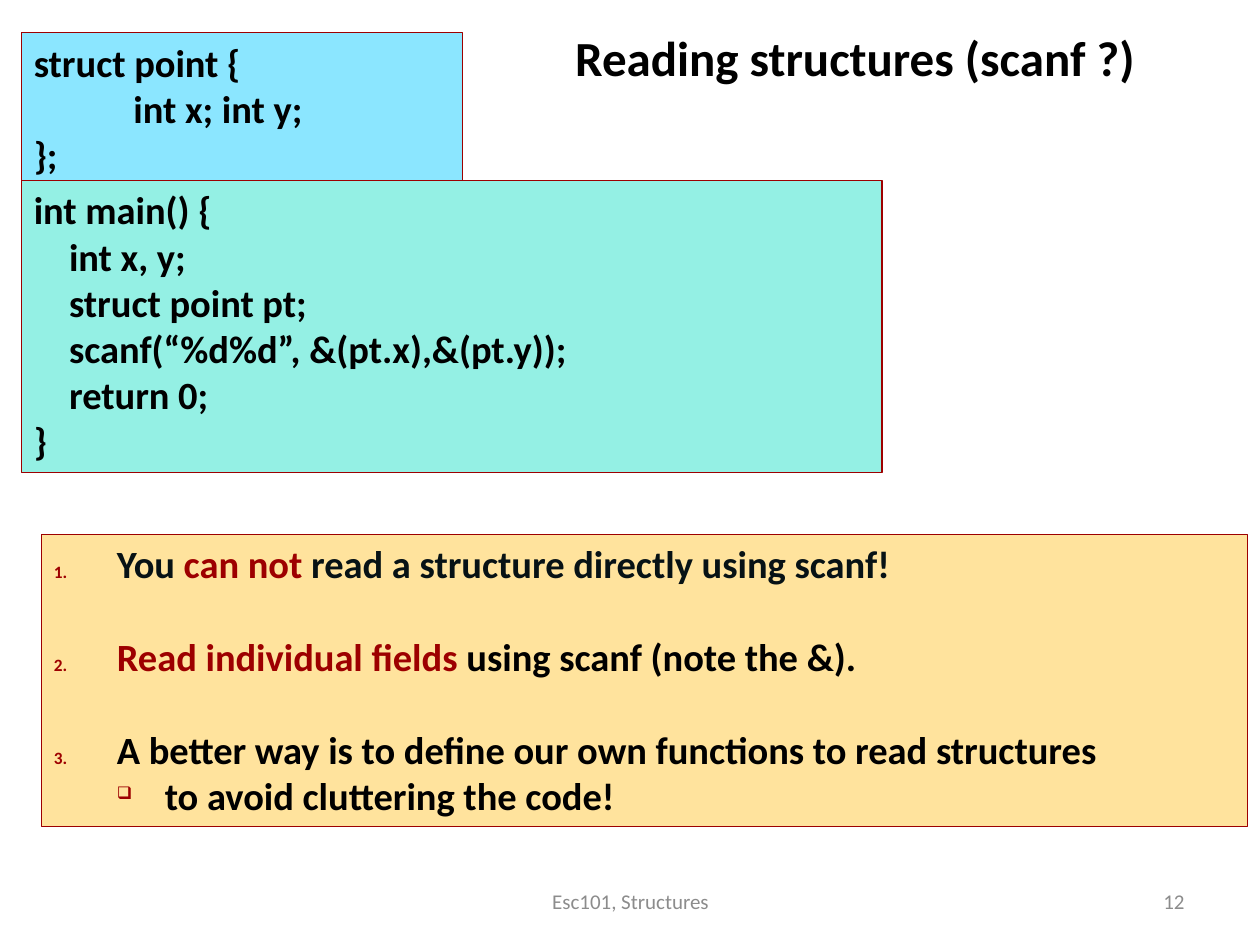
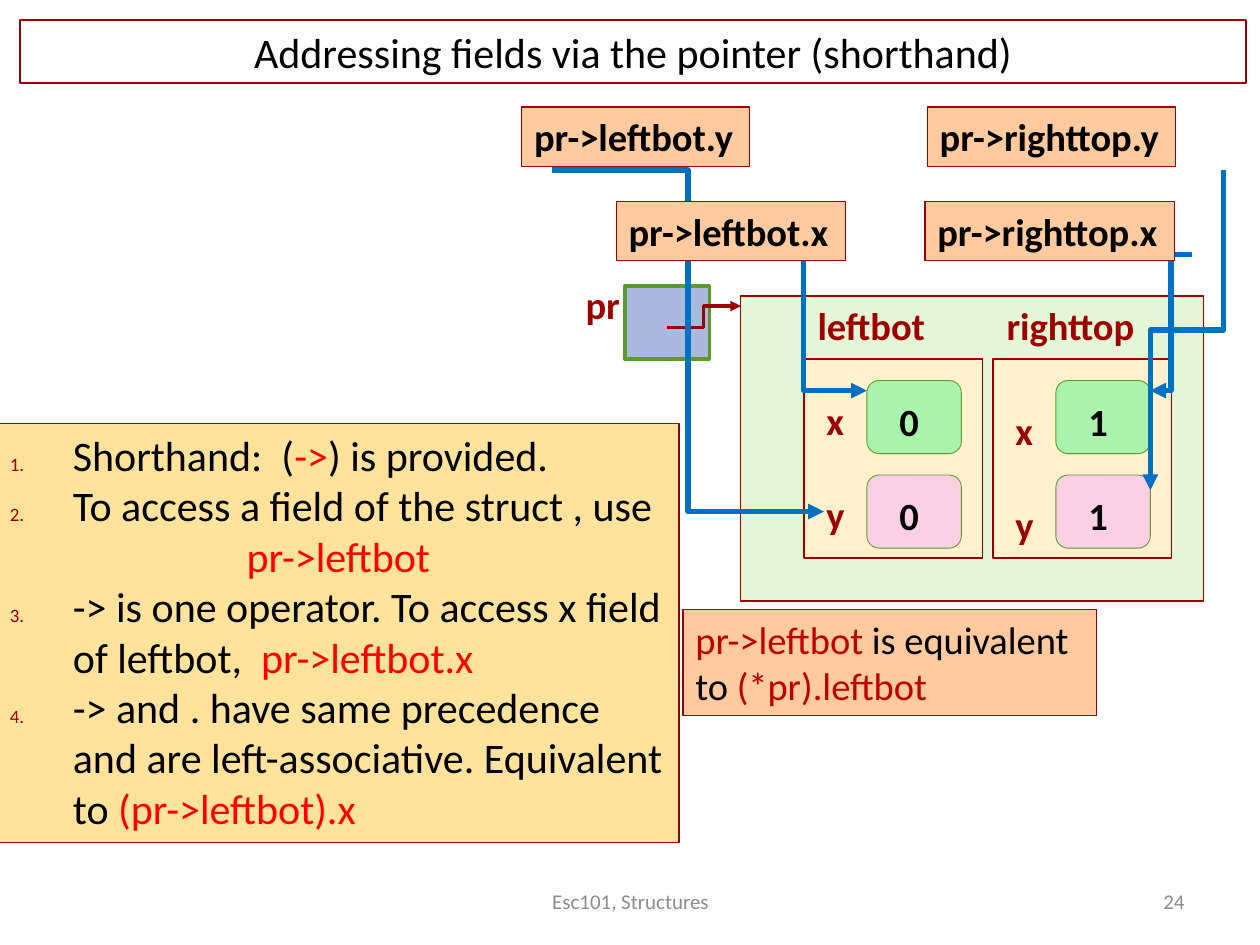
from dataclasses import dataclass

from lxml.etree import SubElement
from pptx import Presentation
from pptx.dml.color import RGBColor
from pptx.enum.shapes import MSO_CONNECTOR as Connector, MSO_SHAPE as Shape
from pptx.enum.text import MSO_ANCHOR as Anchor, MSO_AUTO_SIZE as AutoSize, PP_ALIGN as Align
from pptx.oxml.ns import qn
from pptx.util import Inches, Pt


@dataclass(frozen=True)
class Theme:
    font: str = "Calibri"
    black: str = "000000"
    ink: str = "071215"
    maroon: str = "9D0000"
    red: str = "FF0000"
    crimson: str = "C00000"
    gray: str = "8C8C8C"
    blue: str = "0070C0"
    green: str = "5D9A2B"
    sky: str = "8BE6FF"
    aqua: str = "94F0E4"
    sand: str = "FFE39D"
    peach: str = "FFCA9F"
    pale_green: str = "E5F6D8"
    cream: str = "FFF1CE"
    mint: str = "ABF3AD"
    pink: str = "FBD0E4"
    periwinkle: str = "ABB9DE"
    heading: int = 28
    large: int = 24
    body: int = 22
    small: int = 12


THEME = Theme()


def rgb(color):
    return RGBColor.from_string(color)


def set_line(line, color, width):
    line.color.rgb = rgb(color)
    line.width = Pt(width)


def set_bullet(paragraph, kind, **attributes):
    properties = paragraph._p.get_or_add_pPr()
    color = SubElement(properties, qn("a:buClr"))
    SubElement(color, qn("a:srgbClr"), val=THEME.maroon)
    SubElement(properties, qn("a:buSzPct"), val="45000")
    SubElement(properties, qn(kind), **attributes)


def set_number(paragraph, start=1):
    attributes = {"startAt": str(start)} if start > 1 else {}
    set_bullet(paragraph, "a:buAutoNum", type="arabicPeriod", **attributes)


def set_indent(paragraph, left, first=0):
    properties = paragraph._p.get_or_add_pPr()
    properties.set("marL", str(Inches(left)))
    properties.set("indent", str(Inches(first)))


def write(paragraph, content, size, color=THEME.black, bold=False, align=Align.LEFT):
    runs = [(content, color)] if isinstance(content, str) else content
    paragraph.alignment = align
    font = paragraph.font
    font.name, font.size, font.bold = THEME.font, Pt(size), bold
    colors = {run_color for _, run_color in runs}
    if len(colors) == 1:
        font.color.rgb = rgb(colors.pop())
    for text, run_color in runs:
        run = paragraph.add_run()
        run.text = text
        if len(runs) > 1:
            run.font.color.rgb = rgb(run_color)


def set_frame(shape, wrap=True, anchor=Anchor.TOP, auto_size=AutoSize.NONE):
    frame = shape.text_frame
    frame.word_wrap = wrap
    frame.auto_size = auto_size
    frame.vertical_anchor = anchor
    frame.margin_left = frame.margin_right = Inches(0.1)
    frame.margin_top = frame.margin_bottom = Inches(0.05)
    return frame


def add_paragraphs(frame, count):
    for _ in range(count - 1):
        frame.add_paragraph()
    return frame.paragraphs


def add_box(shapes, box, fill, line=THEME.maroon, width=0.75, kind=Shape.RECTANGLE):
    shape = shapes.add_shape(kind, *map(Inches, box))
    shape.shadow.inherit = False
    shape.fill.solid()
    shape.fill.fore_color.rgb = rgb(fill)
    set_line(shape.line, line, width)
    return shape


def add_label(shapes, box, text, color=THEME.maroon):
    frame = set_frame(shapes.add_textbox(*map(Inches, box)), False,
                      auto_size=AutoSize.SHAPE_TO_FIT_TEXT)
    write(frame.paragraphs[0], text, THEME.body, color, True)


def add_tag(shapes, box, text):
    frame = set_frame(add_box(shapes, box, THEME.peach), False)
    write(frame.paragraphs[0], text, THEME.body, bold=True)


def add_code(shapes, box, fill, lines):
    frame = set_frame(add_box(shapes, box, fill))
    for paragraph, (indent, text) in zip(add_paragraphs(frame, len(lines)), lines):
        set_indent(paragraph, indent)
        write(paragraph, text, THEME.body, bold=True)


def add_arrow(shapes, start, end, color=THEME.blue, width=3, downward=False):
    (x1, y1), (x2, y2) = start, end
    if downward:
        center_x, center_y = (x1 + x2) / 2, (y1 + y2) / 2
        half_length, half_drop = (y2 - y1) / 2, (x1 - x2) / 2
        x1, x2 = center_x - half_length, center_x + half_length
        y1, y2 = center_y - half_drop, center_y + half_drop
    arrow = shapes.add_connector(Connector.ELBOW, *map(Inches, (x1, y1, x2, y2)))
    if downward:
        arrow.rotation = 90
    set_line(arrow.line, color, width)
    properties = arrow._element.spPr
    SubElement(properties.find(qn("a:ln")), qn("a:tailEnd"), type="triangle")
    SubElement(properties, qn("a:effectLst"))


def add_footer(slide, number):
    for left, width, text, align in ((3.42, 3.17, "Esc101, Structures", Align.CENTER),
                                     (7.17, 2.33, str(number), Align.RIGHT)):
        box = slide.shapes.add_textbox(*map(Inches, (left, 6.95, width, 0.4)))
        frame = set_frame(box, anchor=Anchor.MIDDLE)
        write(frame.paragraphs[0], text, THEME.small, THEME.gray, align=align)


def add_slide(presentation, title, box, size, number, bold=False):
    slide = presentation.slides.add_slide(presentation.slide_layouts[5])
    shape = slide.shapes.title
    shape.left, shape.top, shape.width, shape.height = map(Inches, box)
    frame = set_frame(shape)
    write(frame.paragraphs[0], title, size, bold=bold, align=Align.CENTER)
    add_footer(slide, number)
    return slide


def add_scanf_notes(shapes):
    frame = set_frame(add_box(shapes, (0.33, 4.24, 9.57, 2.32), THEME.sand))
    notes = (
        [("You", THEME.ink), (" can not ", THEME.maroon),
         ("read a structure directly using scanf!", THEME.ink)],
        [("Read individual fields", THEME.maroon),
         (" using scanf (note the &).", THEME.black)],
        "A better way is to define our own functions to read structures",
    )
    *numbered, detail = add_paragraphs(frame, len(notes) + 1)
    for paragraph, note in zip(numbered, notes):
        set_indent(paragraph, 0.5, -0.5)
        if paragraph is not numbered[-1]:
            paragraph.space_after = Pt(26.6)
        set_number(paragraph)
        write(paragraph, note, THEME.body, bold=True)
    detail.level = 1
    set_indent(detail, 0.88, -0.38)
    set_bullet(detail, "a:buChar", char="❑")
    write(detail, "to avoid cluttering the code!", THEME.body, bold=True)


def add_shorthand_notes(shapes):
    frame = set_frame(add_box(shapes, (-0.02, 3.36, 5.41, 3.33), THEME.sand))
    notes = (
        (1, [("Shorthand:  (", THEME.black), ("->", THEME.red),
             (") is provided.", THEME.black)]),
        (1, "To access a field of the struct , use"),
        (None, [("pr->leftbot", THEME.red)]),
        (3, [("-> is one operator. To access x field of leftbot,  ", THEME.black),
             ("pr->leftbot.x", THEME.red)]),
        (3, [("-> and . have same precedence and are left-associative. Equivalent to ",
              THEME.black), ("(pr->leftbot).x", THEME.red)]),
    )
    for paragraph, (start, note) in zip(add_paragraphs(frame, len(notes)), notes):
        set_indent(paragraph, 0.5, -0.5)
        if start:
            set_number(paragraph, start)
        write(paragraph, note, THEME.large, align=Align.LEFT if start else Align.CENTER)


def add_point(shapes, left, name, name_width, label_top, value):
    add_box(shapes, (left, 2.85, 1.42, 1.58), THEME.cream)
    add_label(shapes, (left + 0.01, 2.35, name_width, 0.47), name)
    for row, (field, fill) in enumerate((("x", THEME.mint), ("y", THEME.pink))):
        offset = 0.75 * row
        cell = add_box(shapes, (left + 0.5, 3.02 + offset, 0.75, 0.58), fill,
                       THEME.green, 0.5, Shape.ROUNDED_RECTANGLE)
        frame = set_frame(cell)
        frame.margin_left, frame.margin_top = Inches(0.23), Inches(0.11)
        write(frame.paragraphs[0], value, THEME.body, bold=True)
        add_label(shapes, (left + 0.08, label_top + offset, 0.34, 0.47), field)


def add_rectangle_diagram(shapes):
    add_label(shapes, (4.55, 2.18, 0.47, 0.47), "pr")
    pointer = shapes.add_group_shape().shapes
    add_box(pointer, (4.96, 2.27, 0.67, 0.58), THEME.periwinkle, THEME.green, 2)
    add_arrow(pointer, (5.29, 2.6), (5.88, 2.43), THEME.maroon, 2)
    rectangle = shapes.add_group_shape().shapes
    add_box(rectangle, (5.88, 2.35, 3.67, 2.42), THEME.pale_green)
    add_point(rectangle, 6.38, "leftbot", 1.07, 3.1, "0")
    add_point(rectangle, 7.88, "righttop", 1.23, 3.18, "1")


def add_field_paths(shapes):
    add_tag(shapes, (4.14, 0.85, 1.81, 0.47), "pr->leftbot.y")
    add_tag(shapes, (7.36, 0.85, 1.97, 0.47), "pr->righttop.y")
    add_arrow(shapes, (4.38, 1.35), (6.54, 4.06))
    add_arrow(shapes, (5.88, 2.02), (6.88, 3.1))
    add_arrow(shapes, (9.46, 2.02), (9.13, 3.1))
    add_arrow(shapes, (9.71, 1.35), (9.13, 3.89), downward=True)
    add_tag(shapes, (4.89, 1.6, 1.82, 0.47), "pr->leftbot.x")
    add_tag(shapes, (7.34, 1.6, 1.98, 0.47), "pr->righttop.x")


def add_equivalence(shapes):
    frame = set_frame(add_box(shapes, (5.42, 4.84, 3.28, 0.84), THEME.peach), False)
    lines = ([("pr->leftbot", THEME.crimson), (" is equivalent", THEME.black)],
             [("to ", THEME.black), ("(*pr).leftbot", THEME.crimson)])
    for paragraph, line in zip(add_paragraphs(frame, len(lines)), lines):
        write(paragraph, line, THEME.body)


def build_reading_slide(presentation):
    slide = add_slide(presentation, "Reading structures (scanf ?)",
                      (3.67, 0.17, 6.23, 0.57), THEME.heading, 12, bold=True)
    add_code(slide.shapes, (0.17, 0.26, 3.5, 1.21), THEME.sky,
             ((0, "struct point {"), (0.79, "int x; int y;"), (0, "};")))
    body = ("int x, y;", "struct point pt;", "scanf(“%d%d”, &(pt.x),&(pt.y));", "return 0;")
    add_code(slide.shapes, (0.17, 1.43, 6.83, 2.32), THEME.aqua,
             ((0, "int main() {"), *((0.28, line) for line in body), (0, "}")))
    add_scanf_notes(slide.shapes)


def build_shorthand_slide(presentation):
    slide = add_slide(presentation, "Addressing fields via the pointer (shorthand)",
                      (0.16, 0.16, 9.73, 0.5), THEME.large, 24)
    set_line(slide.shapes.title.line, THEME.maroon, 0.75)
    add_shorthand_notes(slide.shapes)
    add_rectangle_diagram(slide.shapes)
    add_field_paths(slide.shapes)
    add_equivalence(slide.shapes)


def main():
    presentation = Presentation()
    presentation.slide_width, presentation.slide_height = Inches(10), Inches(7.5)
    build_reading_slide(presentation)
    build_shorthand_slide(presentation)
    presentation.save("out.pptx")


main()
